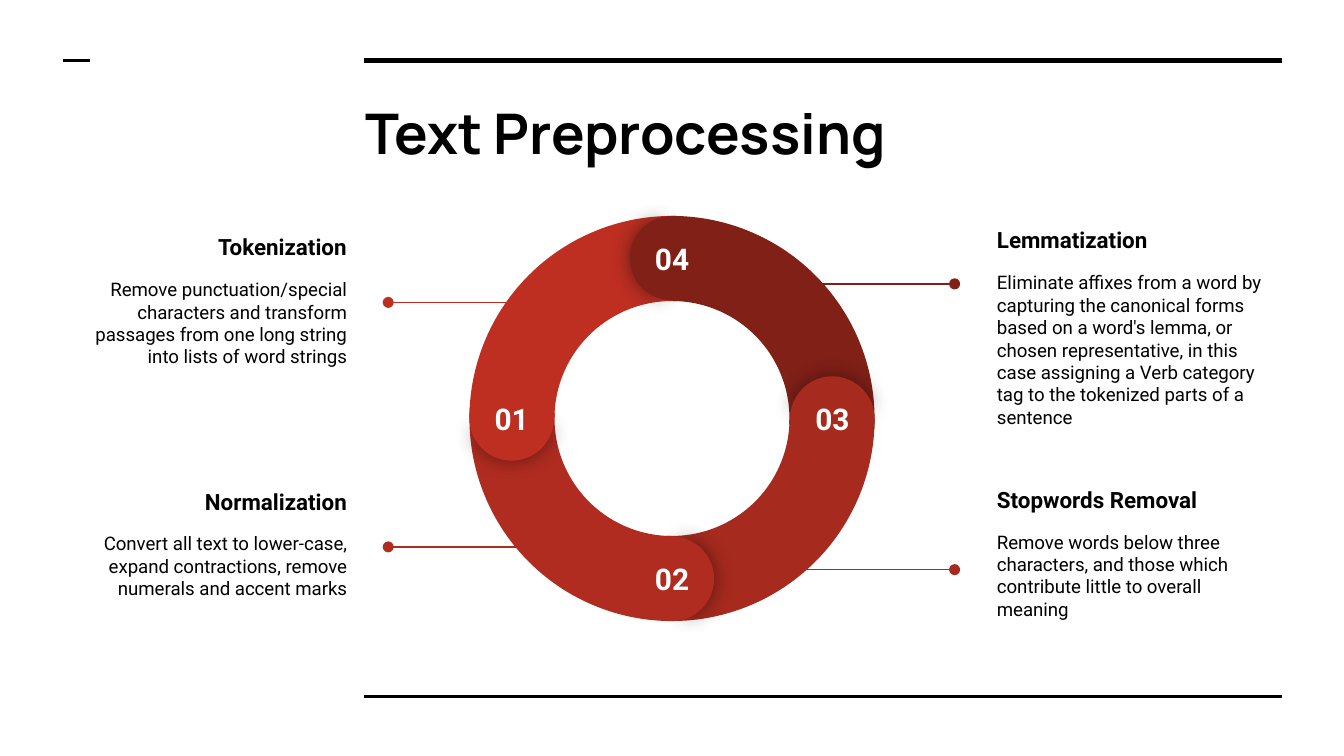
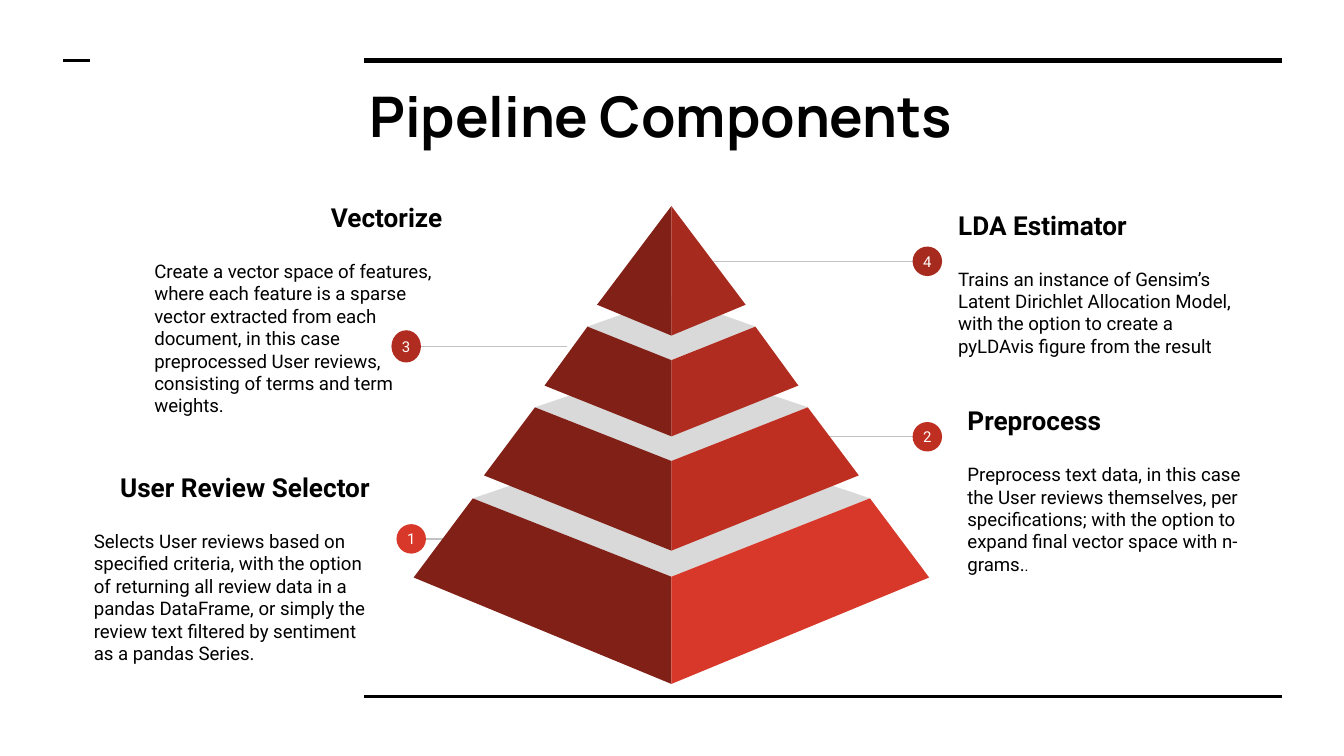
from math import cos, radians, sin

from lxml import etree
from pptx import Presentation
from pptx.dml.color import RGBColor
from pptx.enum.shapes import MSO_CONNECTOR, MSO_SHAPE
from pptx.enum.text import MSO_ANCHOR, PP_ALIGN
from pptx.oxml.ns import qn
from pptx.util import Pt

ARC, PIE, OVAL = MSO_SHAPE.BLOCK_ARC, MSO_SHAPE.PIE, MSO_SHAPE.OVAL
LINE = MSO_CONNECTOR.STRAIGHT
TOP, MIDDLE = MSO_ANCHOR.TOP, MSO_ANCHOR.MIDDLE
LEFT, CENTER, RIGHT = PP_ALIGN.LEFT, PP_ALIGN.CENTER, PP_ALIGN.RIGHT

BLACK, WHITE, GRAY, PALE = "000000", "FFFFFF", "C2C2C2", "D9D9D9"
DARK, DEEP, BRICK, RED, BRIGHT = "802017", "A72A1E", "B02C20", "BE2F22", "D83829"
HEAD, BODY = "Manrope", "Roboto"

# Rules on every slide: x1, x2, y, weight
RULES = [(195.1, 686.9, 32.4, 3), (195.1, 686.9, 373, 1.5), (33.8, 48.2, 32.4, 1.5)]

# Ring: centre, outer diameter, cap diameter
RING_X, RING_Y, RING, CAP = 360, 224.2, 217, 45.2
# Segments: number, angle of the round cap, colour
SEGMENTS = [("03", 0, DEEP), ("02", 90, BRICK), ("01", 180, RED), ("04", 270, DARK)]

# Steps: heading, body, box, alignment, pointer (x1, x2, y), colour
STEPS = [
    ("Tokenization",
     "Remove punctuation/special characters and transform passages from one "
     "long string into lists of word strings",
     (30.2, 110.2, 162.7, 101.5), RIGHT, (290, 208, 162), RED),
    ("Normalization",
     "Convert all text to lower-case, expand contractions, remove numerals "
     "and accent marks",
     (46.1, 240.5, 146.9, 101.5), RIGHT, (311, 208, 293), BRICK),
    ("Lemmatization",
     "Eliminate affixes from a word by capturing the canonical forms based on "
     "a word's lemma, or chosen representative, in this case assigning a Verb "
     "category tag to the tokenized parts of a sentence",
     (527, 124.6, 159.1, 101.5), LEFT, (410.4, 511.4, 152.1), DARK),
    ("Stopwords Removal",
     "Remove words below three characters, and those which contribute little "
     "to overall meaning",
     (527, 245.5, 149, 101.5), LEFT, (410.4, 511.4, 305.2), DEEP),
]

# Parts: number, heading, body, box, heading alignment, line (x1, x2, y),
# badge centre x, badge height, colour
PARTS = [
    ("2", "Preprocess",
     "Preprocess text data, in this case the User reviews themselves, per "
     "specifications; with the option to expand final vector space with n-grams.",
     (511.2, 221, 163.4, 82.8), LEFT, (442.8, 502.6, 234), 496.8, 15.8, RED),
    ("1", "User Review Selector",
     "Selects User reviews based on specified criteria, with the option of "
     "returning all review data in a pandas DataFrame, or simply the review "
     "text filtered by sentiment as a pandas Series.",
     (43.2, 262.8, 162, 82.8), RIGHT, (303.8, 214.6, 288.7), 220.3, 15.8, BRIGHT),
    ("4", "LDA Estimator",
     "Trains an instance of Gensim’s Latent Dirichlet Allocation Model, with "
     "the option to create a pyLDAvis figure from the result",
     (506.2, 110.2, 163.4, 82.8), LEFT, (380.9, 502.6, 140), 496.8, 15.8, DEEP),
    ("3", "Vectorize",
     "Create a vector space of features, where each feature is a sparse vector "
     "extracted from each document, in this case preprocessed User reviews, "
     "consisting of terms and term weights.",
     (75.6, 120.2, 168.5, 90.7), RIGHT, (303.8, 211.7, 185.6), 217.6, 17.3, BRICK),
]
EXTRA = {"2": "."}  # smaller mark after the body

# Pyramid tiers, bottom up: colour, y at the back, then (half width, side y,
# middle y) of the top edge and of the bottom edge
AXIS = 359.7
TIERS = [
    (BRIGHT, 231.1, (106.4, 267, 309), (138.1, 309.4, 366.4)),
    (RED, 193.7, (73.1, 218.2, 247), (100.4, 254.7, 295)),
    (BRICK, 159.1, (45, 175, 193), (68, 206.6, 233.8)),
    (DEEP, None, (0, 110.4, 110.4), (39.8, 163.3, 179.8)),
]


def rgb(code):
    return RGBColor.from_string(code)


def paint(shape, color):
    shape.shadow.inherit = False
    shape.fill.solid()
    shape.fill.fore_color.rgb = rgb(color)
    shape.line.fill.background()
    return shape


def glow(shape):
    """Give the shape a soft black shadow without offset."""
    fx = shape._element.spPr.find(qn("a:effectLst"))
    outer = etree.SubElement(fx, qn("a:outerShdw"), blurRad=str(Pt(11.2)),
                             dist="0", algn="ctr", rotWithShape="0")
    clr = etree.SubElement(outer, qn("a:srgbClr"), val=BLACK)
    etree.SubElement(clr, qn("a:alpha"), val="43000")


def rule(slide, x1, x2, y, color, weight, dot=False):
    line = slide.shapes.add_connector(LINE, Pt(x1), Pt(y), Pt(x2), Pt(y))
    line.line.color.rgb = rgb(color)
    line.line.width = Pt(weight)
    if dot:
        etree.SubElement(line.line._get_or_add_ln(), qn("a:tailEnd"), type="oval")
    etree.SubElement(line._element.spPr, qn("a:effectLst"))


def disc(slide, kind, x, y, wide, high, color, turn=0, adj=()):
    """Add a filled preset shape centred on x, y."""
    shape = slide.shapes.add_shape(
        kind, Pt(x - wide / 2), Pt(y - high / 2), Pt(wide), Pt(high))
    for i, value in enumerate(adj):
        shape.adjustments[i] = value
    shape.rotation = turn % 360
    return paint(shape, color)


def style(para, size, color=BLACK, bold=False, align=LEFT, face=BODY):
    para.alignment = align
    font = para.font
    font.name, font.size, font.bold = face, Pt(size), bold
    font.color.rgb = rgb(color)


def write(slide, box, text, anchor=TOP, **look):
    frame = slide.shapes.add_textbox(*map(Pt, box)).text_frame
    frame.word_wrap = True
    frame.vertical_anchor = anchor
    frame.margin_left = frame.margin_right = Pt(7.2)
    frame.margin_top = frame.margin_bottom = Pt(7.2)
    frame.text = text
    style(frame.paragraphs[0], **look)
    return frame


def block(slide, box, head, body, size, gap, sides):
    """Write a heading and its body; sides holds their alignments."""
    frame = write(slide, box, head, MIDDLE, size=size, bold=True, align=sides[0])
    frame.paragraphs[0].space_after = Pt(gap)
    para = frame.add_paragraph()
    para.text = body
    style(para, 10, align=sides[1])
    return para


def outline(slide, points, color):
    form = slide.shapes.build_freeform(Pt(points[0][0]), Pt(points[0][1]))
    form.add_line_segments([(Pt(x), Pt(y)) for x, y in points[1:]])
    paint(form.convert_to_shape(), color)


def start(deck, title, x, y):
    slide = deck.slides.add_slide(deck.slide_layouts[6])
    for x1, x2, height, weight in RULES:
        rule(slide, x1, x2, height, BLACK, weight)
    write(slide, (x, y, 497.5, 49.7), title, size=30, bold=True, face=HEAD)
    return slide


def ring(slide):
    for _, angle, color in SEGMENTS:
        disc(slide, ARC, RING_X, RING_Y, RING, RING, color, angle + 150,
             (126.23, 181.77, 0.21))
    reach = (RING - CAP) / 2
    for number, angle, color in SEGMENTS:
        x = RING_X + reach * cos(radians(angle))
        y = RING_Y + reach * sin(radians(angle))
        glow(disc(slide, PIE, x, y, CAP, CAP, color, angle + 90.7, (61.9, 149.96)))
        disc(slide, PIE, x, y, CAP, CAP, color, angle + 270, (40.28, 171.84))
        write(slide, (x - 19.8, y - 16.8, 39.6, 20.9), number, size=16,
              color=WHITE, bold=True, align=CENTER)


def pyramid(slide):
    for color, back, (half, side, mid), (base, low, foot) in TIERS:
        if back:
            outline(slide, [(AXIS - half, side), (AXIS, mid),
                            (AXIS + half, side), (AXIS, back)], PALE)
        for sign, shade in ((-1, DARK), (1, color)):
            outline(slide, [(AXIS + sign * half, side), (AXIS, mid),
                            (AXIS, foot), (AXIS + sign * base, low)], shade)


def badge(slide, number, x, y, high, color):
    shape = disc(slide, OVAL, x, y, 15.8, high, color)
    frame = shape.text_frame
    frame.margin_left = frame.margin_right = 0
    frame.margin_top = frame.margin_bottom = 0
    frame.vertical_anchor = MIDDLE
    frame.text = number
    style(frame.paragraphs[0], 8, WHITE, align=CENTER)


def main():
    deck = Presentation()
    deck.slide_width, deck.slide_height = Pt(720), Pt(405)

    slide = start(deck, "Text Preprocessing", 188.6, 45.4)
    ring(slide)
    for head, body, box, side, (x1, x2, y), color in STEPS:
        block(slide, box, head, body, 12, 9.5, (side, side))
        rule(slide, x1, x2, y, color, 0.75, dot=True)

    slide = start(deck, "Pipeline Components", 190.8, 36.7)
    for number, head, body, box, side, (x1, x2, y), x, high, color in PARTS:
        para = block(slide, box, head, body, 14, 14.5, (side, LEFT))
        if number in EXTRA:
            run = para.add_run()
            run.text = EXTRA[number]
            run.font.size = Pt(8)
        rule(slide, x1, x2, y, GRAY, 0.75)
        badge(slide, number, x, y, high, color)
    pyramid(slide)

    deck.save("out.pptx")


if __name__ == "__main__":
    main()
